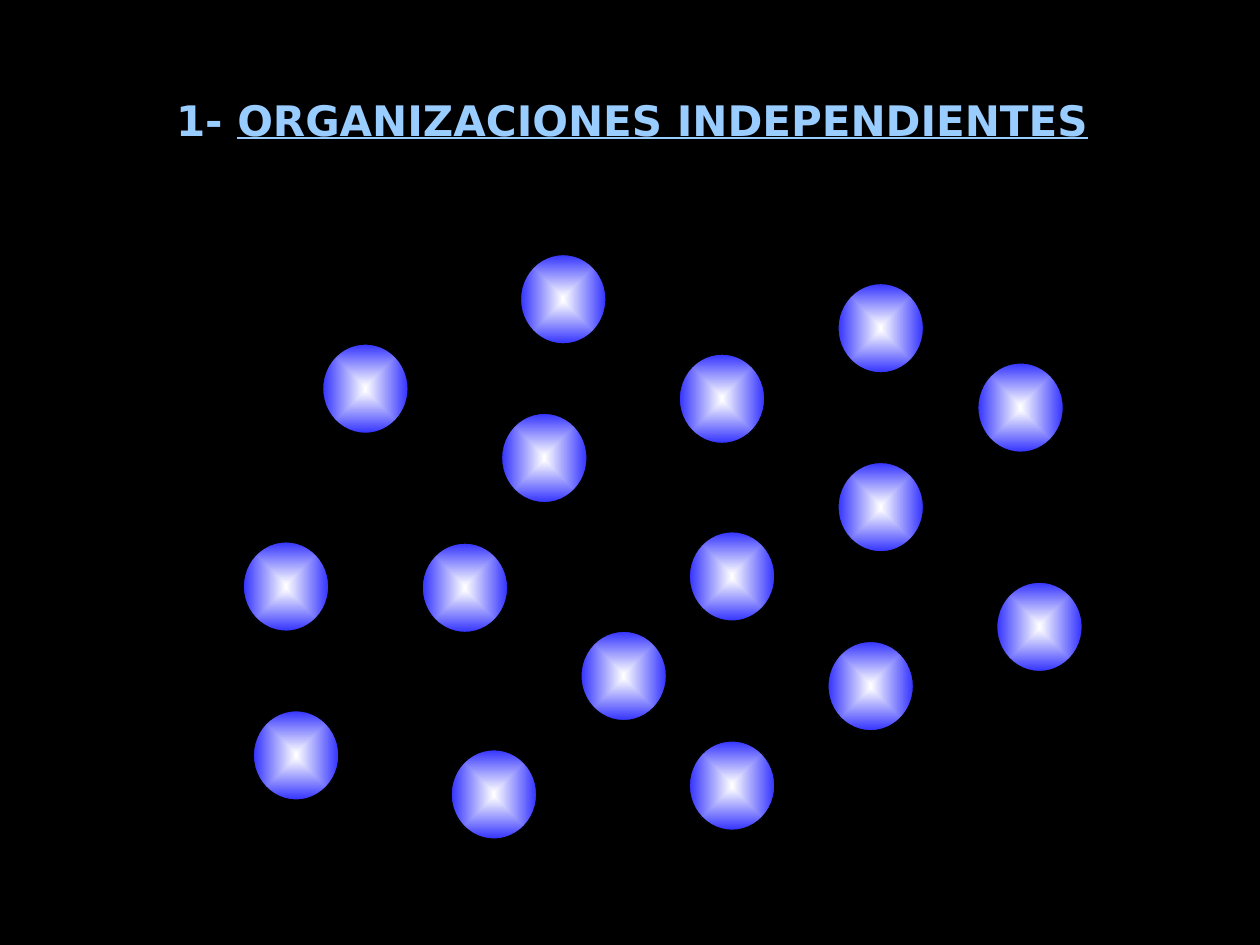
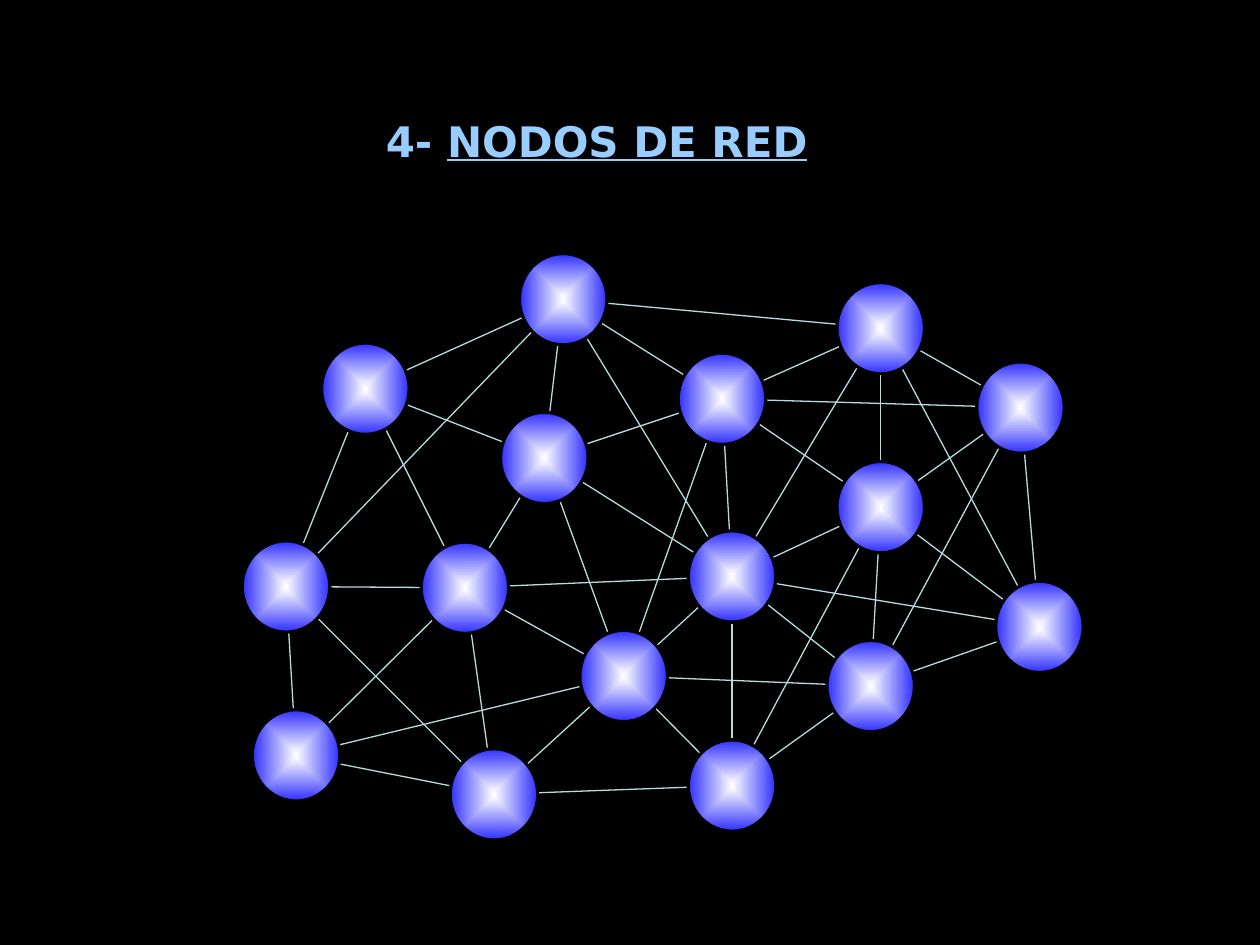
"""Builds two slides on independent organisations and network nodes."""
from math import hypot

from lxml.etree import SubElement
from pptx import Presentation
from pptx.dml.color import RGBColor
from pptx.enum.shapes import MSO_CONNECTOR, MSO_SHAPE
from pptx.enum.text import MSO_ANCHOR, MSO_AUTO_SIZE, PP_ALIGN
from pptx.oxml.ns import qn
from pptx.util import Cm, Pt

COLORS = {
    "back": "000000",
    "title": "99CCFF",
    "core": "FFFFFF",
    "rim": "3333FF",
    "edge": "000000",
    "link": "B6DCDF",
}
FONT = "DejaVu Sans"
THIN = Pt(0.74)
WIDE, HIGH = 0.68, 0.71
GAP = 0.02
NODES = {
    "A": (4.13, 2.02),
    "B": (6.65, 2.25),
    "C": (2.56, 2.73),
    "D": (5.39, 2.81),
    "E": (7.76, 2.88),
    "F": (3.98, 3.28),
    "G": (6.65, 3.67),
    "H": (5.47, 4.22),
    "I": (1.93, 4.3),
    "J": (3.35, 4.31),
    "K": (7.91, 4.62),
    "L": (4.61, 5.01),
    "M": (6.57, 5.09),
    "N": (2.01, 5.64),
    "O": (5.47, 5.88),
    "P": (3.58, 5.95),
}
LINKS = {
    "A": "BCDFHI",
    "B": "DEGHK",
    "C": "FIJ",
    "D": "EFGHL",
    "E": "GKM",
    "F": "HJL",
    "G": "HKMO",
    "H": "JKLMO",
    "I": "JNP",
    "J": "LNP",
    "K": "M",
    "L": "MNOP",
    "M": "O",
    "N": "P",
    "O": "P",
}


def color(name):
    """Return the named colour."""
    return RGBColor.from_string(COLORS[name])


def scale(*inches):
    """Turn inches into lengths."""
    return [Cm(2.54 * inch) for inch in inches]


def center(name):
    """Return the middle of the named node."""
    left, top = NODES[name]
    return left + WIDE / 2, top + HIGH / 2


def leave(start, goal):
    """Return the point just off the rim of start on the way to goal."""
    x, y = center(start)
    far_x, far_y = center(goal)
    run, rise = far_x - x, far_y - y
    part = 1 / hypot(run / (WIDE / 2 + GAP), rise / (HIGH / 2 + GAP))
    return x + part * run, y + part * rise


def add_title(slide, mark, text, box):
    """Place the title, with its number plain and its words underlined."""
    title = slide.shapes.title
    title.left, title.top, title.width, title.height = scale(*box)
    frame = title.text_frame
    frame.word_wrap = True
    frame.auto_size = MSO_AUTO_SIZE.SHAPE_TO_FIT_TEXT
    frame.vertical_anchor = MSO_ANCHOR.TOP
    line = frame.paragraphs[0]
    line.alignment = PP_ALIGN.CENTER
    for words, under in ((mark, False), (text, True)):
        run = line.add_run()
        run.text = words
        font = run.font
        font.name, font.size, font.bold = FONT, Pt(24), True
        font.underline = under
        font.color.rgb = color("title")


def add_node(slide, left, top):
    """Draw one ball that shades from a bright core to its rim."""
    box = scale(left, top, WIDE, HIGH)
    ball = slide.shapes.add_shape(MSO_SHAPE.OVAL, *box)
    ball.shadow.inherit = False
    ball.line.color.rgb = color("edge")
    ball.line.width = THIN
    ball.fill.gradient()
    for stop, name in zip(ball.fill.gradient_stops, ("core", "rim")):
        stop.color.rgb = color(name)
    grad = ball._element.spPr.find(qn("a:gradFill"))
    grad.remove(grad.find(qn("a:lin")))
    shade = SubElement(grad, qn("a:path"), {"path": "rect"})
    sides = dict.fromkeys("ltrb", "50000")
    SubElement(shade, qn("a:fillToRect"), sides)


def add_link(slide, start, goal):
    """Join two named nodes, rim to rim, along the line of their centres."""
    ends = scale(*leave(start, goal), *leave(goal, start))
    link = slide.shapes.add_connector(MSO_CONNECTOR.STRAIGHT, *ends)
    link.line.color.rgb = color("link")
    link.line.width = THIN
    SubElement(link._element.spPr, qn("a:effectLst"))


def add_nodes(slide):
    """Draw every node."""
    for left, top in NODES.values():
        add_node(slide, left, top)


def add_links(slide):
    """Draw every link of the network."""
    for start, goals in LINKS.items():
        for goal in goals:
            add_link(slide, start, goal)


def add_slide(deck, mark, text, box):
    """Add a slide with its title and the nodes."""
    slide = deck.slides.add_slide(deck.slide_layouts[5])
    add_title(slide, mark, text, box)
    add_nodes(slide)
    return slide


def main():
    """Build and save the deck."""
    deck = Presentation()
    deck.slide_width, deck.slide_height = scale(10, 7.5)
    back = deck.slide_master.background.fill
    back.solid()
    back.fore_color.rgb = color("back")
    add_slide(deck, "1- ", "ORGANIZACIONES INDEPENDIENTES", (0.8, 0.7, 8.43, 0.5))
    net = add_slide(deck, "4- ", "NODOS DE RED", (1.92, 0.87, 5.63, 0.5))
    add_links(net)
    deck.save("out.pptx")


main()
